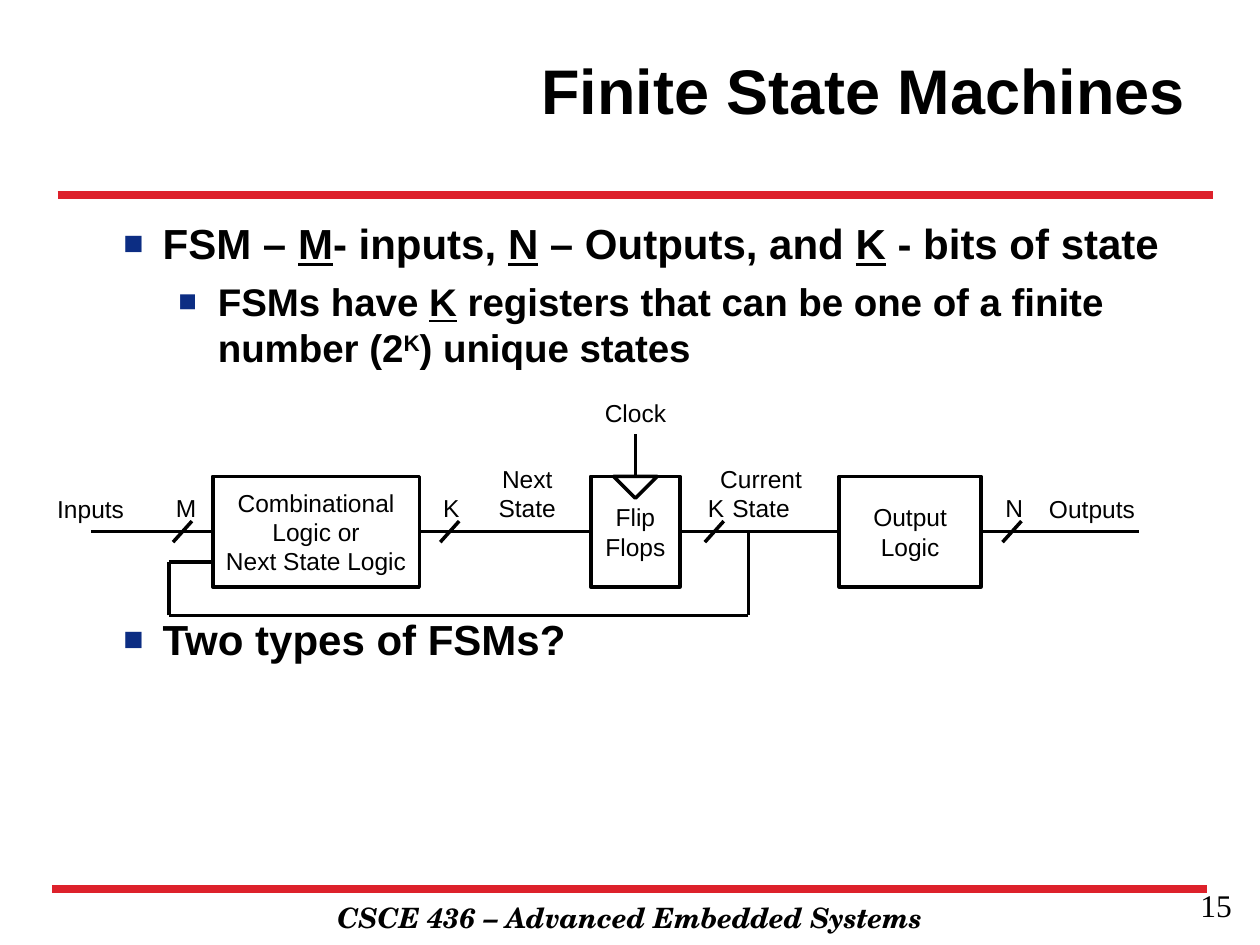
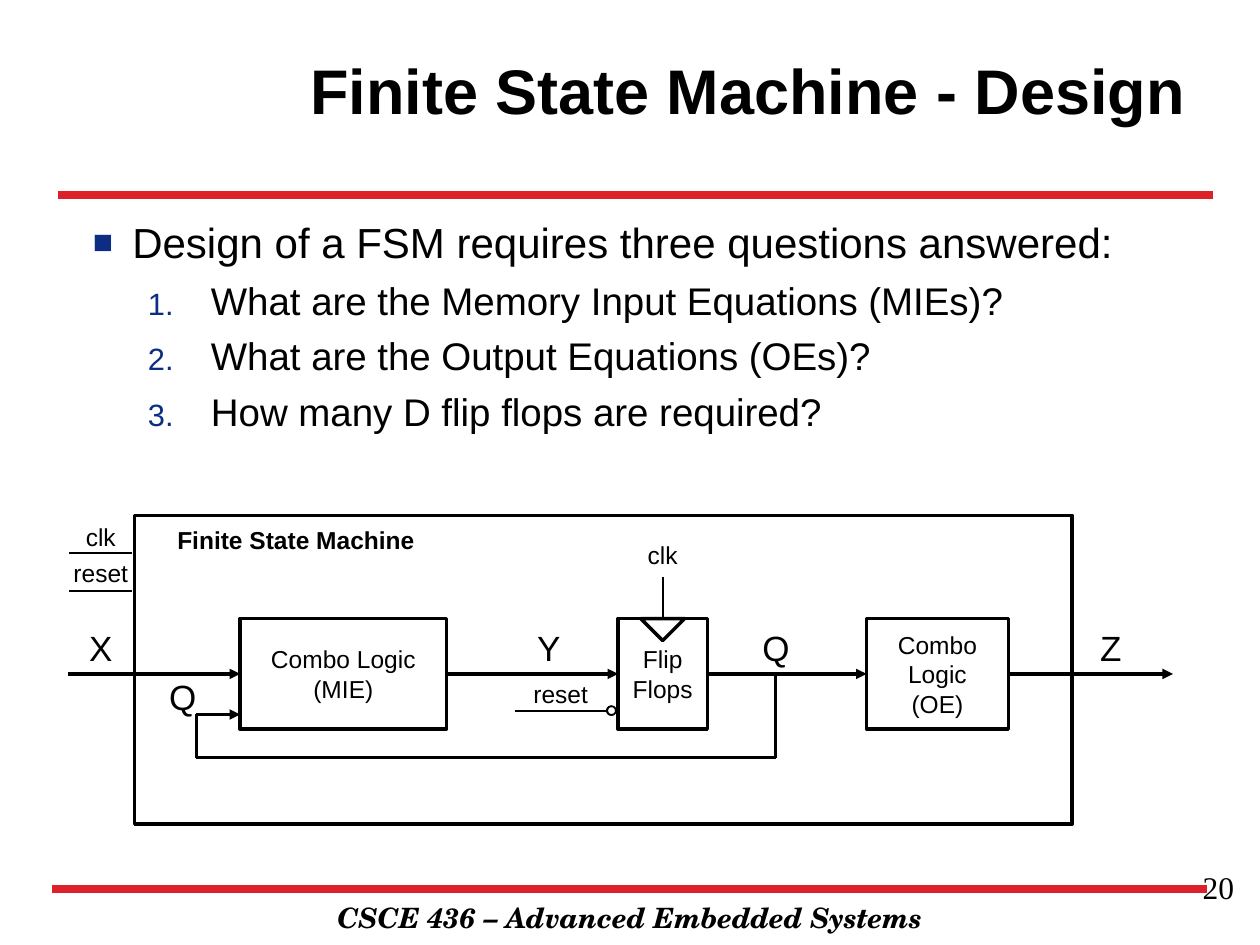
from dataclasses import dataclass
from typing import NamedTuple, Optional

from lxml import etree
from pptx import Presentation
from pptx.dml.color import RGBColor
from pptx.enum import shapes, text
from pptx.oxml.ns import qn
from pptx.util import Pt


@dataclass(frozen=True)
class Theme:
    ink: RGBColor = RGBColor(0, 0, 0)
    paper: RGBColor = RGBColor(255, 255, 255)
    rule: RGBColor = RGBColor.from_string("DD212B")
    bullet: str = "0C2D83"
    font: str = "Arial"
    footer_font: str = "TeX Gyre Schola"
    number_font: str = "Times New Roman"
    title_size: float = 36
    level_sizes: tuple = (24, 22)
    signal_size: float = 20
    number_size: float = 18
    footer_size: float = 16
    label_size: float = 14
    rule_weight: float = 4.5
    heavy: float = 2
    light: float = 1


THEME = Theme()
CENTER = text.PP_ALIGN.CENTER
RIGHT = text.PP_ALIGN.RIGHT
SHAPE = shapes.MSO_SHAPE
TOP_SIDE, LEFT_SIDE, RIGHT_SIDE = 0, 1, 3
BLOCK_OFFSETS = (0, 216, 358)
BLOCK_WIDTHS = (118, 51, 81)
BLOCK_HEIGHT = 63.2


class Box(NamedTuple):
    left: float
    top: float
    width: float
    height: float


class Point(NamedTuple):
    x: float
    y: float


class Span(NamedTuple):
    text: str
    underline: bool = False
    raised: bool = False


class Bullet(NamedTuple):
    spans: tuple
    level: int = 0
    margin: float = 22.5
    hanging: float = 22.5
    gap: float = 5.5
    numbered: bool = False


class Label(NamedTuple):
    text: str
    center: float
    top: float
    width: float = 62
    size: float = THEME.label_size
    bold: bool = False


@dataclass(frozen=True)
class Machine:
    left: float
    top: float
    block_texts: tuple
    input_start: float
    output_end: float
    clock: str
    clock_weight: float
    feedback_entry: float
    arrow: Optional[str] = None


def format_runs(paragraph, size: float, font: str = THEME.font,
                bold: bool = False, italic: bool = False) -> None:
    for run in paragraph.runs:
        run.font.name = font
        run.font.size = Pt(size)
        run.font.bold = bold
        run.font.italic = italic
        run.font.color.rgb = THEME.ink


def write(shape, content: str, size: float, align=CENTER, **style) -> None:
    frame = shape.text_frame
    frame.word_wrap = True
    frame.text = content
    for paragraph in frame.paragraphs:
        paragraph.alignment = align
        format_runs(paragraph, size, **style)


def add_text(slide, box: Box, content: str, size: float, align=CENTER, **style):
    shape = slide.shapes.add_textbox(*map(Pt, box))
    write(shape, content, size, align, **style)
    return shape


def add_label(slide, label: Label) -> None:
    height = 7.2 + 1.2 * label.size * (label.text.count("\n") + 1)
    box = Box(label.center - label.width / 2, label.top, label.width, height)
    add_text(slide, box, label.text, label.size, bold=label.bold)


def add_outline(slide, box: Box, kind=SHAPE.RECTANGLE, weight: float = THEME.heavy):
    shape = slide.shapes.add_shape(kind, *map(Pt, box))
    shape.shadow.inherit = False
    shape.fill.background()
    shape.line.color.rgb = THEME.ink
    shape.line.width = Pt(weight)
    return shape


def add_wire(slide, start: Point, end: Point, weight: float = THEME.heavy,
             color: RGBColor = THEME.ink, arrow: Optional[str] = None):
    wire = slide.shapes.add_connector(
        shapes.MSO_CONNECTOR.STRAIGHT, *map(Pt, (*start, *end)))
    wire.line.color.rgb = color
    wire.line.width = Pt(weight)
    if arrow:
        etree.SubElement(wire.line._get_or_add_ln(), qn("a:tailEnd"), type=arrow)
    etree.SubElement(wire._element.spPr, qn("a:effectLst"))
    return wire


def add_bullet_mark(paragraph, bullet: Bullet) -> None:
    properties = paragraph._p.get_or_add_pPr()
    properties.set("marL", str(Pt(bullet.margin)))
    properties.set("indent", str(-Pt(bullet.hanging)))
    color = etree.SubElement(properties, qn("a:buClr"))
    etree.SubElement(color, qn("a:srgbClr"), val=THEME.bullet)
    etree.SubElement(properties, qn("a:buSzPct"), val="80000")
    etree.SubElement(properties, qn("a:buFont"), typeface=THEME.font)
    if bullet.numbered:
        etree.SubElement(properties, qn("a:buAutoNum"), type="arabicPeriod")
    else:
        etree.SubElement(properties, qn("a:buChar"), char="■")


def add_bullets(slide, box: Box, bullets: list[Bullet], bold: bool) -> None:
    frame = slide.shapes.add_textbox(*map(Pt, box)).text_frame
    frame.word_wrap = True
    for index, bullet in enumerate(bullets):
        paragraph = frame.add_paragraph() if index else frame.paragraphs[0]
        paragraph.level = bullet.level
        paragraph.space_before = Pt(bullet.gap if index else 0)
        add_bullet_mark(paragraph, bullet)
        for span in bullet.spans:
            run = paragraph.add_run()
            run.text = span.text
            run.font.underline = span.underline
            if span.raised:
                run._r.get_or_add_rPr().set("baseline", "30000")
        format_runs(paragraph, THEME.level_sizes[bullet.level], bold=bold)


def add_framed_slide(presentation, title: str, number: str, number_box: Box):
    slide = presentation.slides.add_slide(presentation.slide_layouts[6])
    add_text(slide, Box(102, 511, 516, 27), "CSCE 436 – Advanced Embedded Systems",
             THEME.footer_size, font=THEME.footer_font, bold=True, italic=True)
    for left, right, y in ((30, 690, 508), (33, 693, 111.5)):
        add_wire(slide, Point(left, y), Point(right, y), THEME.rule_weight, THEME.rule)
    heading = add_text(slide, Box(150.5, 6, 534, 90), title,
                       THEME.title_size, RIGHT, bold=True)
    heading.text_frame.vertical_anchor = text.MSO_ANCHOR.MIDDLE
    add_text(slide, number_box, number, THEME.number_size, RIGHT, font=THEME.number_font)
    return slide


def add_block(slide, box: Box, content: str):
    block = add_outline(slide, box)
    write(block, content, THEME.label_size)
    frame = block.text_frame
    frame.margin_left = frame.margin_right = Pt(4)
    frame.vertical_anchor = text.MSO_ANCHOR.MIDDLE
    return block


def add_machine(slide, machine: Machine) -> None:
    left, top = machine.left, machine.top
    middle = top + BLOCK_HEIGHT / 2
    blocks = [
        add_block(slide, Box(left + offset, top, width, BLOCK_HEIGHT), content)
        for offset, width, content in zip(BLOCK_OFFSETS, BLOCK_WIDTHS, machine.block_texts)
    ]
    flip_flops = blocks[1]
    clock_x = left + BLOCK_OFFSETS[1] + BLOCK_WIDTHS[1] / 2
    add_outline(slide, Box(clock_x - 12.5, top, 25, 12.5),
                SHAPE.ISOSCELES_TRIANGLE).rotation = 180

    for source, target in zip([None, *blocks], [*blocks, None]):
        wire = add_wire(slide, Point(machine.input_start, middle),
                        Point(machine.output_end, middle), arrow=machine.arrow)
        if source:
            wire.begin_connect(source, RIGHT_SIDE)
        if target:
            wire.end_connect(target, LEFT_SIDE)

    clock_wire = add_wire(slide, Point(clock_x, top - 24), Point(clock_x, top),
                          machine.clock_weight)
    clock_wire.end_connect(flip_flops, TOP_SIDE)
    add_label(slide, Label(machine.clock, clock_x, top - 48.3))

    tap, turn = left + 306, left - 25
    bottom, entry = top + 79.4, top + machine.feedback_entry
    corners = [Point(tap, middle), Point(tap, bottom), Point(turn, bottom),
               Point(turn, entry), Point(left, entry)]
    for start, end in zip(corners, corners[1:]):
        add_wire(slide, start, end, arrow=machine.arrow if end == corners[-1] else None)


def build_overview(presentation) -> None:
    slide = add_framed_slide(presentation, "Finite State Machines", "15",
                             Box(543, 502.5, 168, 37.5))
    add_bullets(slide, Box(63.4, 121, 640, 340.5), [
        Bullet((Span("FSM – "), Span("M", underline=True), Span("- inputs, "),
                Span("N", underline=True), Span(" – Outputs, and "),
                Span("K", underline=True), Span(" - bits of state"))),
        Bullet((Span("FSMs have "), Span("K", underline=True),
                Span(" registers that can be one of a finite number (2"),
                Span("K", raised=True), Span(") unique states")), 1, margin=54),
        Bullet((Span("Two types of FSMs?"),), gap=139),
    ], bold=True)
    machine = Machine(
        121.6, 272.2,
        ("Combinational Logic or\nNext State Logic", "Flip Flops", "Output Logic"),
        input_start=52, output_end=651, clock="Clock", clock_weight=THEME.heavy,
        feedback_entry=49)
    add_machine(slide, machine)
    for label in (Label("Inputs", 51.8, 278.6), Label("Outputs", 624, 278.6, 70),
                  Label("Current\nState", 434.9, 261.4, 63.4),
                  Label("Next\nState", 301.3, 261.4, 70)):
        add_label(slide, label)
    middle = machine.top + BLOCK_HEIGHT / 2
    for width_name, x in (("M", 104.3), ("K", 257), ("K", 408.2), ("N", 578.3)):
        add_wire(slide, Point(x + 5.4, middle - 6), Point(x - 5.4, middle + 6))
        add_label(slide, Label(width_name, x, 278.2, 21.6))


def build_design(presentation) -> None:
    slide = add_framed_slide(presentation, "Finite State Machine - Design", "20",
                             Box(544.3, 492.5, 168, 37.5))
    questions = ("What are the Memory Input Equations (MIEs)?",
                 "What are the Output Equations (OEs)?",
                 "How many D flip flops are required?")
    add_bullets(slide, Box(46, 120.2, 640, 340.5), [
        Bullet((Span("Design of a FSM requires three questions answered:"),)),
        *(Bullet((Span(question),), 1, 67.5, 36, numbered=True) for question in questions),
    ], bold=False)
    add_machine(slide, Machine(
        137.2, 353.5, ("Combo Logic (MIE)", "Flip Flops", "Combo Logic\n(OE)"),
        input_start=39, output_end=670.3, clock="clk", clock_weight=THEME.light,
        feedback_entry=54.8, arrow="triangle"))
    add_outline(slide, Box(77, 294.5, 535.7, 176.4))

    for name, x, y in (("X", 57.6, 354.2), ("Y", 313.6, 354.2), ("Q", 443.5, 354.2),
                       ("Z", 634.7, 354.2), ("Q", 104.4, 382.3)):
        add_label(slide, Label(name, x, y, size=THEME.signal_size))
    for name, x, y in (("clk", 57.6, 294.5), ("reset", 57.6, 315.4), ("reset", 320.4, 384.5)):
        add_label(slide, Label(name, x, y))
    for start, end, y, tip in ((39.6, 75.6, 316.1, None), (39.6, 75.6, 337.7, None),
                               (294.5, 349.2, 406.1, "oval")):
        add_wire(slide, Point(start, y), Point(end, y), THEME.light, arrow=tip)
    inverter = add_outline(slide, Box(347, 403.6, 5, 5),
                           SHAPE.FLOWCHART_CONNECTOR, THEME.light)
    inverter.fill.solid()
    inverter.fill.fore_color.rgb = THEME.paper
    add_label(slide, Label("Finite State Machine", 169.2, 296.6, 184.3, bold=True))


def main() -> None:
    presentation = Presentation()
    presentation.slide_width = Pt(720)
    presentation.slide_height = Pt(540)
    build_overview(presentation)
    build_design(presentation)
    presentation.save("out.pptx")


if __name__ == "__main__":
    main()
